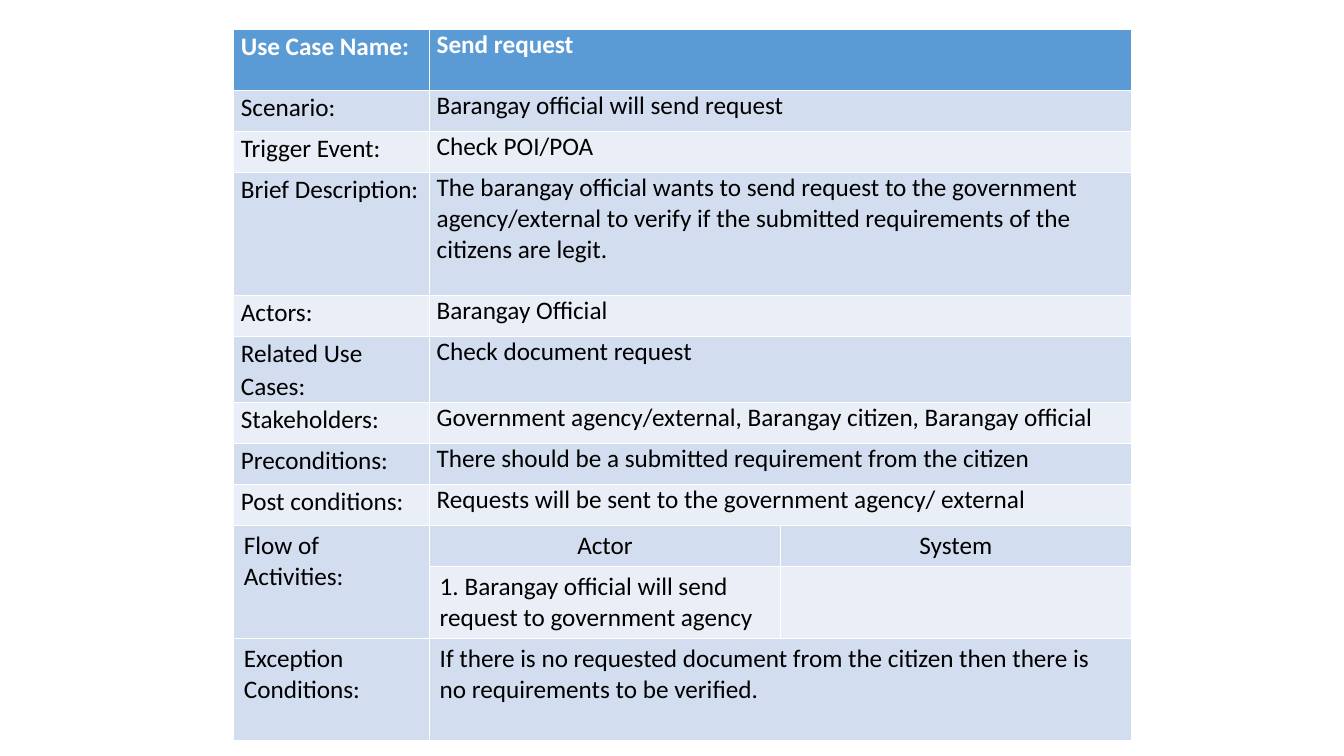
from dataclasses import dataclass

from pptx import Presentation
from pptx import util as u
from pptx.dml.color import RGBColor
from pptx.enum import text

WHITE = RGBColor(0xFF, 0xFF, 0xFF)
BLACK = RGBColor(0x00, 0x00, 0x00)
HEADER_BLUE = RGBColor(0x5B, 0x9B, 0xD5)
BANDS = (RGBColor(0xEA, 0xEF, 0xF7), RGBColor(0xD2, 0xDE, 0xEF))

SLIDE_W, SLIDE_H = u.Inches(13.33), u.Inches(7.5)
LEFT, TOP = 17.4, 3.95  # percent of slide width and height
COLUMNS = (14.57, 26.1, 26.1)  # percent of slide width
ONE_LINE, TWO_LINES = 5.43, 8.7  # percent of slide height
FLOW_ROW = 9  # first row of the flow of activities

TIGHT = dict(margin_left=u.Inches(0.07), margin_right=u.Inches(0.07),
             margin_top=0, margin_bottom=0)
HEADER_FONT = dict(name="Calibri", size=u.Pt(18), bold=True)
BODY_FONT = dict(name="Calibri", size=u.Pt(18), bold=False)
LABEL_PARAGRAPH = dict(line_spacing=1.07)
CENTERED = dict(alignment=text.PP_ALIGN.CENTER)


@dataclass(frozen=True)
class UseCaseRow:
    label: str
    value: str
    height: float = ONE_LINE
    system: str | None = None  # None: the value spans both right columns


ROWS = (
    UseCaseRow("Use Case Name:", "Send request", 8.05),
    UseCaseRow("Scenario:", "Barangay official will send request"),
    UseCaseRow("Trigger Event:", "Check POI/POA"),
    UseCaseRow("Brief Description:",
               "The barangay official wants to send request to the government "
               "agency/external to verify if the submitted requirements of the "
               "citizens are legit.", 16.25),
    UseCaseRow("Actors:", "Barangay Official"),
    UseCaseRow("Related Use Cases:", "Check document request", TWO_LINES),
    UseCaseRow("Stakeholders:",
               "Government agency/external, Barangay citizen, Barangay official"),
    UseCaseRow("Preconditions:",
               "There should be a submitted requirement from the citizen"),
    UseCaseRow("Post conditions:",
               "Requests will be sent to the government agency/ external"),
    UseCaseRow("Flow of Activities:", "Actor", system="System"),
    UseCaseRow("", "1. Barangay official will send request to government agency",
               9.45, system=""),
    UseCaseRow("Exception Conditions:",
               "If there is no requested document from the citizen then there is "
               "no requirements to be verified.", 13.5),
)


def across(share: float) -> int:
    return round(SLIDE_W * share / 100)


def down(share: float) -> int:
    return round(SLIDE_H * share / 100)


def set_attributes(target: object, values: dict) -> None:
    for name, value in values.items():
        setattr(target, name, value)


def fill_cell(cell, content: str, row: int, paragraph_format: dict) -> None:
    """Write one cell in the header or banded style of its row."""
    is_header = row == 0
    cell.fill.solid()
    cell.fill.fore_color.rgb = HEADER_BLUE if is_header else BANDS[row % 2]
    if row < FLOW_ROW:
        set_attributes(cell, TIGHT)
    p = cell.text_frame.paragraphs[0]
    set_attributes(p, paragraph_format)
    if content:
        r = p.add_run()
        r.text = content
        set_attributes(r.font, HEADER_FONT if is_header else BODY_FONT)
        r.font.color.rgb = WHITE if is_header else BLACK


def add_use_case_table(s) -> None:
    frame = s.shapes.add_table(
        len(ROWS), len(COLUMNS), across(LEFT), down(TOP),
        across(sum(COLUMNS)), down(sum(row.height for row in ROWS)))
    table = frame.table
    for column, width in zip(table.columns, COLUMNS):
        column.width = across(width)
    for i, row in enumerate(ROWS):
        table.rows[i].height = down(row.height)
        label, value, system = (table.cell(i, c) for c in range(3))
        fill_cell(label, row.label, i, LABEL_PARAGRAPH if i < FLOW_ROW else {})
        fill_cell(value, row.value, i, CENTERED if i == FLOW_ROW else {})
        fill_cell(system, row.system or "", i, CENTERED if i == FLOW_ROW else {})
        if row.system is None:
            value.merge(system)
    table.cell(FLOW_ROW, 0).merge(table.cell(FLOW_ROW + 1, 0))


def main() -> None:
    prs = Presentation()
    prs.slide_width, prs.slide_height = SLIDE_W, SLIDE_H
    s = prs.slides.add_slide(prs.slide_layouts.get_by_name("Blank"))
    add_use_case_table(s)
    prs.save("out.pptx")


if __name__ == "__main__":
    main()
